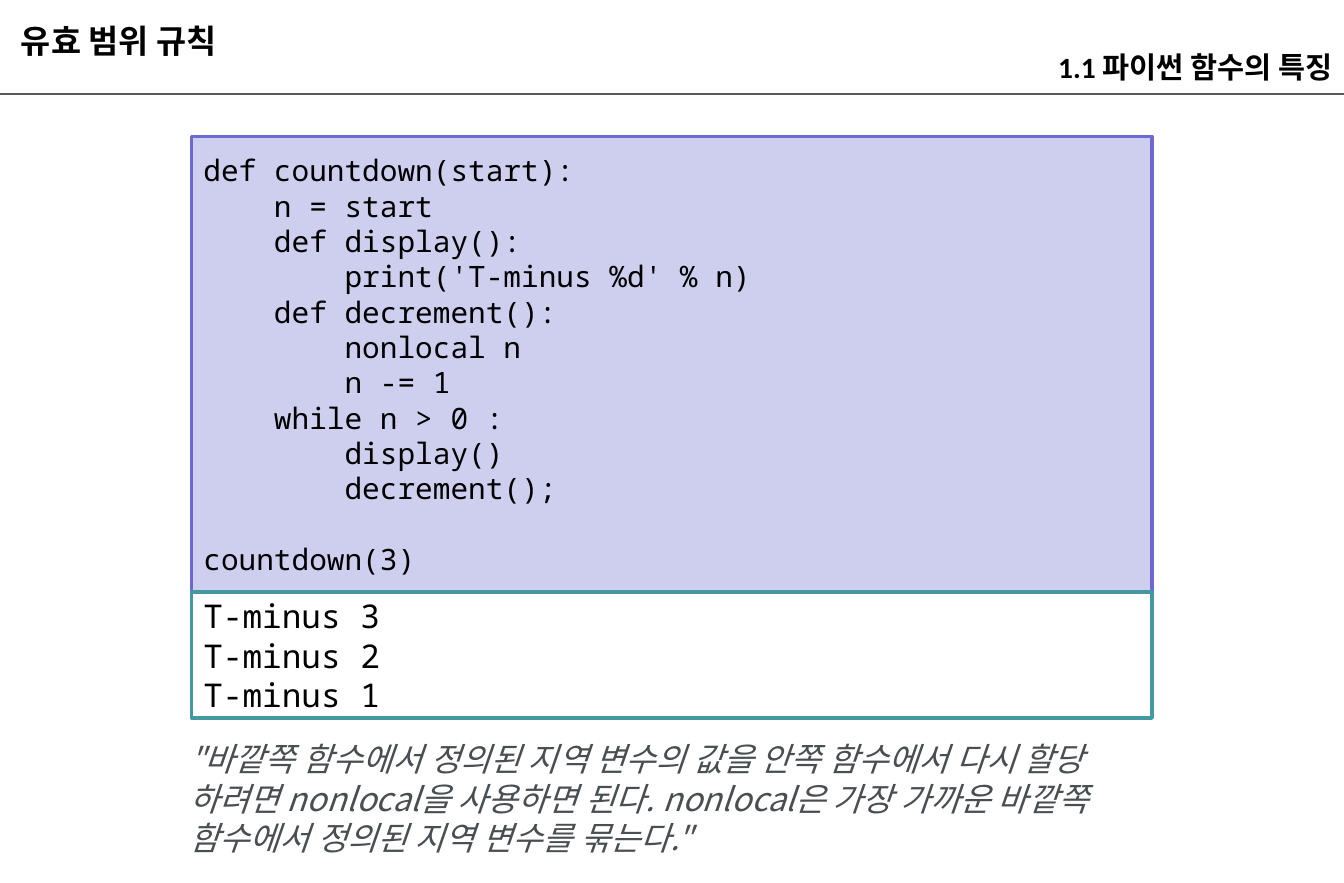
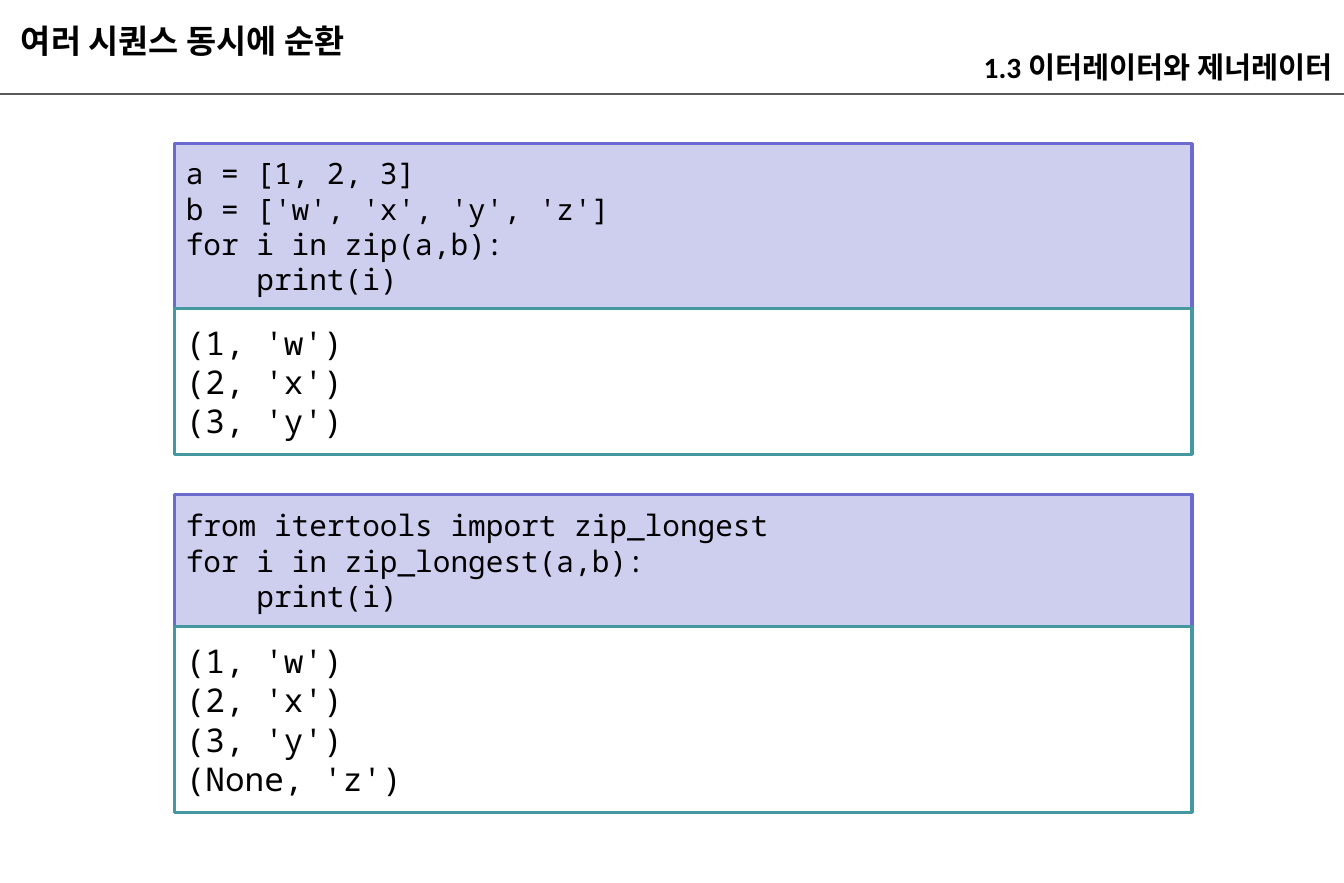
from lxml import etree
from pptx import Presentation
from pptx.dml.color import RGBColor
from pptx.enum import shapes, text
from pptx.oxml.ns import qn
from pptx.util import Inches, Pt

WIDTH, HEIGHT = 11.42, 7.5
RULE_TOP = 0.8
BLACK, RULE_GREY, QUOTE_GREY = "000000", "595959", "494E52"
KOREAN_FONT = "Noto Sans CJK KR"
MONO_FONT = "Noto Sans Mono"

TITLE = dict(name="Calibri", size=20, color=BLACK, bold=True)
SECTION = dict(TITLE, size=18)
CODE = dict(name=MONO_FONT, size=18, color=BLACK)
OUTPUT = dict(CODE, size=20)
QUOTE = dict(name=KOREAN_FONT, size=20, color=QUOTE_GREY, italic=True)

CODE_PANEL = dict(fill="CECEEF", line="6B6BCF", style=CODE)
OUTPUT_PANEL = dict(fill="FFFFFF", line="4597A0", style=OUTPUT)

COUNTDOWN = """def countdown(start):
    n = start
    def display():
        print('T-minus %d' % n)
    def decrement():
        nonlocal n
        n -= 1
    while n > 0 :
        display()
        decrement();

countdown(3)"""

ZIP = """a = [1, 2, 3]
b = ['w', 'x', 'y', 'z']
for i in zip(a,b):
    print(i)"""

ZIP_LONGEST = """from itertools import zip_longest
for i in zip_longest(a,b):
    print(i)"""

# Each example: top, code, code height, output, output height
SLIDES = [
    dict(
        title="유효 범위 규칙",
        section="1.1 파이썬 함수의 특징",
        left=1.63, width=8.16,
        examples=[
            (1.16, COUNTDOWN, 3.87, "T-minus 3\nT-minus 2\nT-minus 1", 1.07),
        ],
        quote="\"바깥쪽 함수에서 정의된 지역 변수의 값을 안쪽 함수에서 다시 할당 "
              "하려면 nonlocal을 사용하면 된다. nonlocal은 가장 가까운 "
              "바깥쪽 함수에서 정의된 지역 변수를 묶는다.\"",
    ),
    dict(
        title="여러 시퀀스 동시에 순환",
        section="1.3 이터레이터와 제너레이터",
        left=1.48, width=8.65,
        examples=[
            (1.22, ZIP, 1.4, "(1, 'w')\n(2, 'x')\n(3, 'y')", 1.24),
            (4.2, ZIP_LONGEST, 1.12,
             "(1, 'w')\n(2, 'x')\n(3, 'y')\n(None, 'z')", 1.58),
        ],
    ),
]


def rgb(value):
    return RGBColor.from_string(value)


def style_run(run, style):
    formats = dict(style)
    run.font.color.rgb = rgb(formats.pop("color"))
    formats["size"] = Pt(formats["size"])
    for attribute, value in formats.items():
        setattr(run.font, attribute, value)
    east_asian = etree.SubElement(run.font._element, qn("a:ea"))
    east_asian.set("typeface", KOREAN_FONT)


def write(frame, content, style, align=text.PP_ALIGN.LEFT):
    """Fill a text frame with one paragraph per line of content."""
    frame.word_wrap = True
    for index, line in enumerate(content.split("\n")):
        paragraph = frame.add_paragraph() if index else frame.paragraphs[0]
        paragraph.alignment = align
        if line:
            run = paragraph.add_run()
            run.text = line
            style_run(run, style)
        else:
            end = etree.SubElement(paragraph._p, qn("a:endParaRPr"))
            end.set("sz", str(style["size"] * 100))
            etree.SubElement(end, qn("a:latin")).set("typeface", style["name"])


def add_heading(slide, box, content, style, align):
    frame = slide.shapes.add_textbox(*map(Inches, box)).text_frame
    frame.vertical_anchor = text.MSO_ANCHOR.BOTTOM
    frame.margin_top = frame.margin_bottom = Inches(0.02)
    write(frame, content, style, align)


def add_header(slide, title, section):
    rule = slide.shapes.add_connector(
        shapes.MSO_CONNECTOR.STRAIGHT,
        *map(Inches, (0, RULE_TOP, WIDTH, RULE_TOP)))
    rule.line.color.rgb = rgb(RULE_GREY)
    rule.line.width = Pt(1.5)
    etree.SubElement(rule._element.spPr, qn("a:effectLst"))
    add_heading(slide, (0.08, 0.09, 5.11, 0.44), title, TITLE,
                text.PP_ALIGN.LEFT)
    add_heading(slide, (6.11, 0.3, 5.31, 0.44), section, SECTION,
                text.PP_ALIGN.RIGHT)


def add_panel(slide, box, content, fill, line, style):
    panel = slide.shapes.add_shape(
        shapes.MSO_SHAPE.RECTANGLE, *map(Inches, box))
    panel.shadow.inherit = False
    panel.fill.solid()
    panel.fill.fore_color.rgb = rgb(fill)
    panel.line.color.rgb = rgb(line)
    panel.line.width = Pt(2)
    panel.text_frame.vertical_anchor = text.MSO_ANCHOR.MIDDLE
    write(panel.text_frame, content, style)


def add_quote(slide, quote):
    box = map(Inches, (1.51, 6.23, 8.16, 1.11))
    write(slide.shapes.add_textbox(*box).text_frame, quote, QUOTE)


def main():
    deck = Presentation()
    deck.slide_width, deck.slide_height = Inches(WIDTH), Inches(HEIGHT)
    for page in SLIDES:
        slide = deck.slides.add_slide(deck.slide_layouts[6])
        add_header(slide, page["title"], page["section"])
        left, width = page["left"], page["width"]
        for top, code, code_height, output, output_height in page["examples"]:
            add_panel(slide, (left, top, width, code_height), code,
                      **CODE_PANEL)
            add_panel(slide, (left, top + code_height, width, output_height),
                      output, **OUTPUT_PANEL)
        if "quote" in page:
            add_quote(slide, page["quote"])
    deck.save("out.pptx")


if __name__ == "__main__":
    main()
